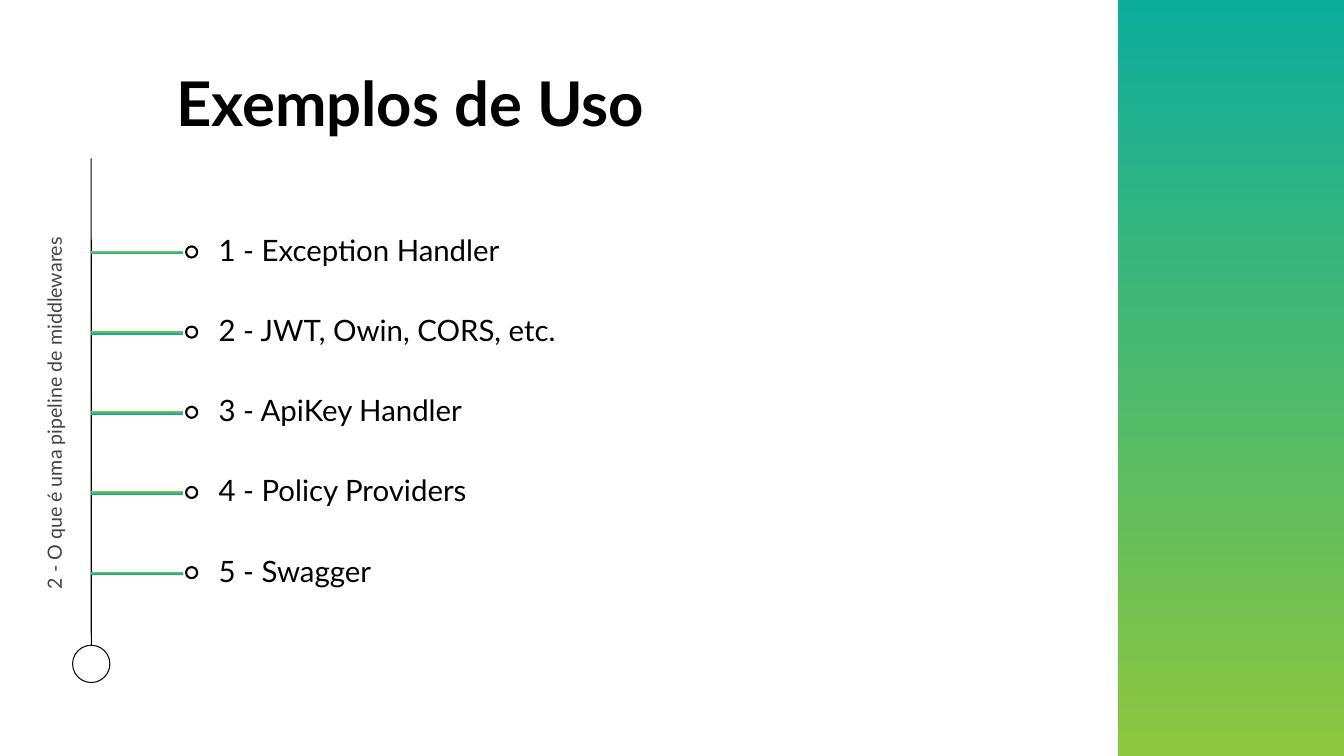
from dataclasses import dataclass

from lxml import etree
from pptx import Presentation
from pptx.dml.color import RGBColor
from pptx.enum.shapes import MSO_CONNECTOR, MSO_SHAPE
from pptx.enum.text import MSO_ANCHOR
from pptx.oxml.ns import qn
from pptx.util import Cm, Pt

RECTANGLE, OVAL = MSO_SHAPE.RECTANGLE, MSO_SHAPE.OVAL
STRAIGHT = MSO_CONNECTOR.STRAIGHT
TOP, MIDDLE = MSO_ANCHOR.TOP, MSO_ANCHOR.MIDDLE

FONT = "Lato"
COLORS = {"ink": "000000", "section": "434343", "green": "8DC63F", "teal": "0DAD9C"}
SLIDE_W, SLIDE_H = 33.87, 19.05
SPINE_X = 2.3
FIRST_TOPIC_Y, TOPIC_PITCH = 6.35, 2.02
TOPICS = [
    "1 - Exception Handler",
    "2 - JWT, Owin, CORS, etc.",
    "3 - ApiKey Handler",
    "4 - Policy Providers",
    "5 - Swagger",
]


@dataclass
class Box:
    """Position and size in centimetres."""
    left: float
    top: float
    width: float
    height: float

    def lengths(self):
        return Cm(self.left), Cm(self.top), Cm(self.width), Cm(self.height)


@dataclass
class Label:
    text: str
    box: Box
    size: float
    color: str = "ink"
    bold: bool = False
    anchor: MSO_ANCHOR = MIDDLE
    inset_x: float = 0.25
    inset_y: float = 0.25
    spacing: float = 0.9
    rotation: float = 0


def rgb(name: str) -> RGBColor:
    return RGBColor.from_string(COLORS[name])


def add_gradient_bar(slide, box: Box, rotation: float = 0):
    bar = slide.shapes.add_shape(RECTANGLE, *box.lengths())
    bar.shadow.inherit = False
    bar.line.fill.background()
    bar.fill.gradient()
    bar.fill.gradient_angle = 90
    for stop, color in zip(bar.fill.gradient_stops, ("green", "teal")):
        stop.color.rgb = rgb(color)
    bar.rotation = rotation
    return bar


def add_ring(slide, center_x: float, center_y: float, diameter: float, weight: float):
    box = Box(center_x - diameter / 2, center_y - diameter / 2, diameter, diameter)
    ring = slide.shapes.add_shape(OVAL, *box.lengths())
    ring.shadow.inherit = False
    ring.fill.background()
    ring.line.color.rgb = rgb("ink")
    ring.line.width = Pt(weight)
    return ring


def add_label(slide, label: Label):
    holder = slide.shapes.add_textbox(*label.box.lengths())
    holder.rotation = label.rotation
    frame = holder.text_frame
    frame.word_wrap = True
    frame.vertical_anchor = label.anchor
    frame.margin_left = frame.margin_right = Cm(label.inset_x)
    frame.margin_top = frame.margin_bottom = Cm(label.inset_y)
    paragraph = frame.paragraphs[0]
    paragraph.line_spacing = label.spacing
    run = paragraph.add_run()
    run.text = label.text
    run.font.name = FONT
    run.font.size = Pt(label.size)
    run.font.bold = label.bold
    run.font.color.rgb = rgb(label.color)


def add_spine(slide, end_ring, top_y: float):
    spine = slide.shapes.add_connector(
        STRAIGHT, Cm(SPINE_X), end_ring.top, Cm(SPINE_X), Cm(top_y))
    spine.begin_connect(end_ring, 0)
    spine.line.color.rgb = rgb("ink")
    spine.line.width = Pt(0.75)
    etree.SubElement(spine._element.spPr, qn("a:effectLst"))


def add_topic(slide, text: str, center_y: float):
    add_gradient_bar(slide, Box(SPINE_X, center_y - 0.03, 2.31, 0.08), rotation=180)
    add_ring(slide, 4.83, center_y, 0.28, 1.5)
    add_label(slide, Label(text, Box(5.26, center_y - 0.86, 16.94, 1.72), 21))


def main():
    presentation = Presentation()
    presentation.slide_width, presentation.slide_height = Cm(SLIDE_W), Cm(SLIDE_H)
    slide = presentation.slides.add_slide(presentation.slide_layouts[6])

    # Side panel
    add_gradient_bar(slide, Box(28.17, 0, SLIDE_W - 28.17, SLIDE_H))

    # Timeline spine
    end_ring = add_ring(slide, SPINE_X, 16.73, 0.94, 0.75)
    add_spine(slide, end_ring, 3.99)

    # Section name and title
    add_label(slide, Label("2 - O que é uma pipeline de middlewares",
                           Box(-3.94, 8.18, 11.71, 2.29), 14, "section", anchor=TOP,
                           inset_x=0.33, inset_y=0.33, spacing=1.0, rotation=270))
    add_label(slide, Label("Exemplos de Uso", Box(4.19, 0.84, 20.68, 3.68), 44,
                           bold=True, inset_y=0.13))

    # Topics
    for index, topic in enumerate(TOPICS):
        add_topic(slide, topic, FIRST_TOPIC_Y + index * TOPIC_PITCH)

    presentation.save("out.pptx")


if __name__ == "__main__":
    main()
